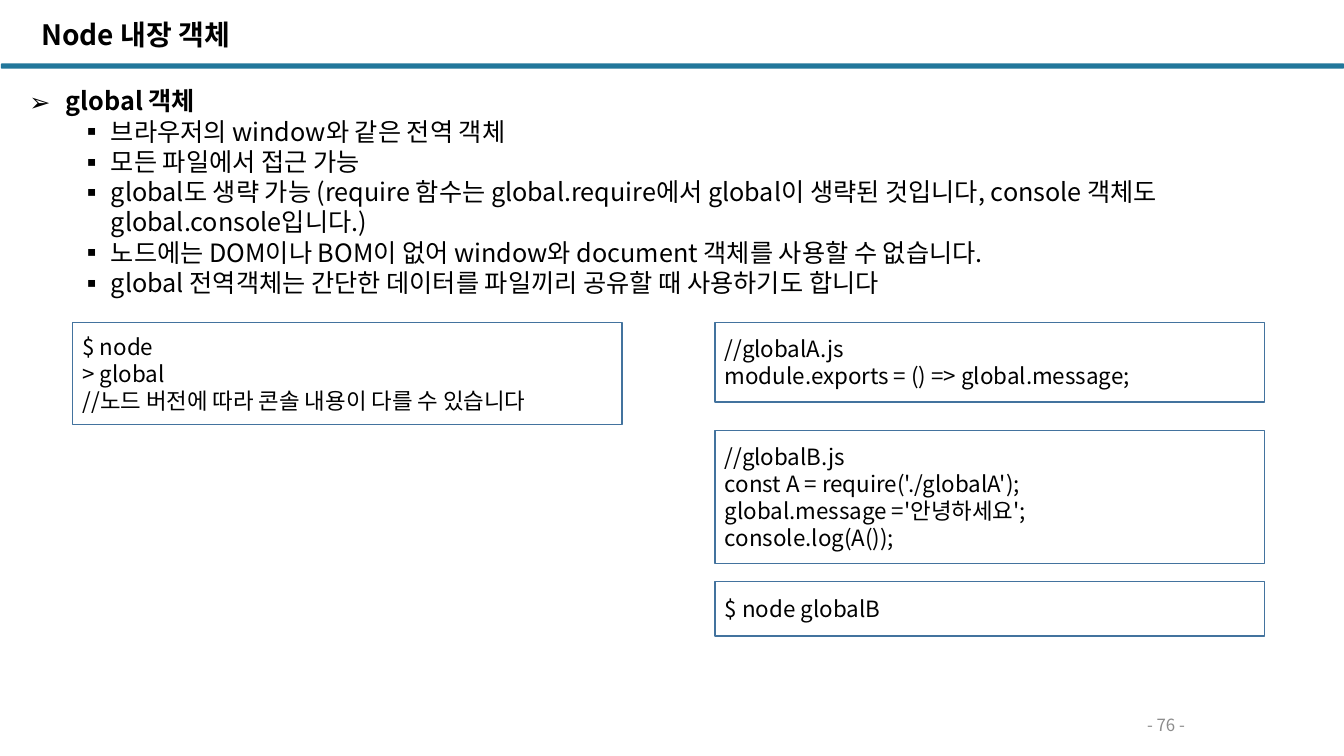
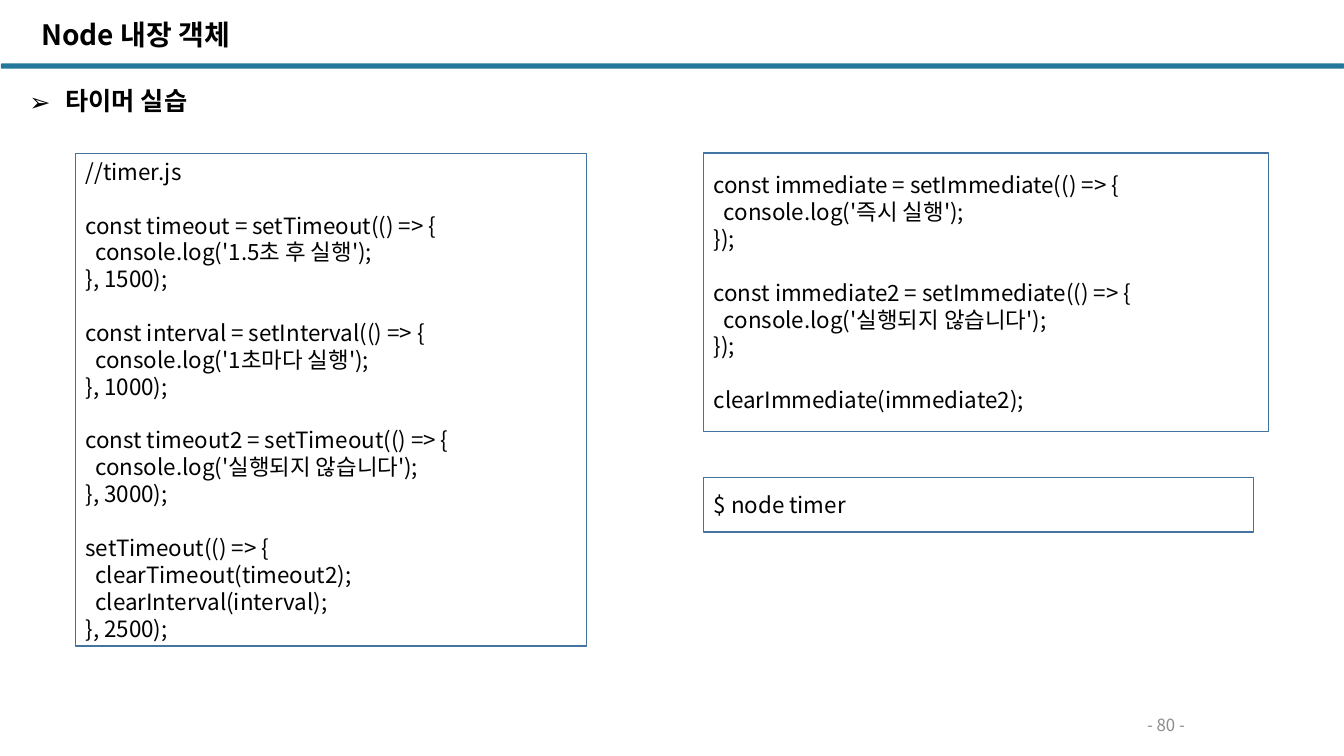
"""Build two slides on Node built-in objects."""
from dataclasses import dataclass

import pptx
import pptx.dml.color
import pptx.enum.shapes
import pptx.enum.text
import pptx.oxml.xmlchemy
import pptx.util

Inches = pptx.util.Inches
Pt = pptx.util.Pt
Align = pptx.enum.text.PP_ALIGN
Anchor = pptx.enum.text.MSO_ANCHOR
Shape = pptx.enum.shapes.MSO_SHAPE


@dataclass(frozen=True)
class Theme:
    font: str = "Noto Sans CJK KR"
    text: str = "000000"
    band: str = "22779B"
    border: str = "43739E"
    muted: str = "8C8C8C"
    title_size: int = 20
    body_size: int = 18
    code_size: int = 16
    footer_size: int = 12
    code_line: float = 19.2


THEME = Theme()


def rgb(value):
    return pptx.dml.color.RGBColor.from_string(value)


def element(tag, name, value):
    el = pptx.oxml.xmlchemy.OxmlElement(tag)
    el.set(name, value)
    return el


def write(p, text, size, color=THEME.text, bold=False, align=Align.LEFT,
          before=0, spacing=1.0):
    p.alignment = align
    p.space_before = Pt(before)
    p.line_spacing = spacing
    r = p.add_run()
    r.text = text
    r.font.size = Pt(size)
    r.font.bold = bold
    r.font.color.rgb = rgb(color)
    r.font.name = THEME.font
    r._r.get_or_add_rPr().append(element("a:ea", "typeface", THEME.font))


def set_bullet(p, char, left, hang):
    pPr = p._p.get_or_add_pPr()
    pPr.set("marL", str(Inches(left)))
    pPr.set("indent", str(-Inches(hang)))
    pPr.append(element("a:buFont", "typeface", THEME.font))
    pPr.append(element("a:buChar", "char", char))


def paragraphs(tf, items):
    for i, item in enumerate(items):
        yield (tf.add_paragraph() if i else tf.paragraphs[0]), item


class Deck:
    def __init__(self, theme):
        self.theme = theme
        self.prs = pptx.Presentation()
        self.prs.slide_width = Inches(13.33)
        self.prs.slide_height = Inches(7.5)
        self.slide = None

    def add_slide(self, title, page):
        self.slide = self.prs.slides.add_slide(self.prs.slide_layouts[1])
        self.band()
        self.title(title)
        self.footer(page)

    def frame(self, sp, left, top, width, height, anchor=Anchor.TOP):
        sp.left, sp.top = Inches(left), Inches(top)
        sp.width, sp.height = Inches(width), Inches(height)
        tf = sp.text_frame
        tf.word_wrap = True
        tf.auto_size = pptx.enum.text.MSO_AUTO_SIZE.NONE
        tf.vertical_anchor = anchor
        return tf

    def shape(self, kind, left, top, width, height):
        sp = self.slide.shapes.add_shape(
            kind, Inches(left), Inches(top), Inches(width), Inches(height))
        sp.shadow.inherit = False
        return sp

    def band(self):
        sp = self.shape(Shape.ROUNDED_RECTANGLE, 0.01, 0.63, 13.32, 0.05)
        sp.adjustments[0] = 0.13
        sp.fill.solid()
        sp.fill.fore_color.rgb = rgb(self.theme.band)
        sp.line.fill.background()

    def title(self, text):
        tf = self.frame(self.slide.shapes.title, 0.31, 0.16, 7.9, 0.47)
        write(tf.paragraphs[0], text, self.theme.title_size, bold=True,
              spacing=0.9)

    def footer(self, page):
        sp = self.slide.shapes.add_textbox(0, 0, 0, 0)
        tf = self.frame(sp, 10.01, 7.08, 3.11, 0.23, Anchor.MIDDLE)
        write(tf.paragraphs[0], f"- {page} -", self.theme.footer_size,
              color=self.theme.muted, align=Align.CENTER)

    def outline(self, heading, points=()):
        height = 0.4 + 0.36 * len(points)
        tf = self.frame(self.slide.placeholders[1], 0.19, 0.8, 12.64, height)
        for p, text in paragraphs(tf, [heading, *points]):
            is_heading = text == heading
            if is_heading:
                set_bullet(p, "➢", 0.36, 0.36)
            else:
                p.level = 1
                set_bullet(p, "▪", 0.81, 0.31)
            write(p, text, self.theme.body_size, bold=is_heading)

    def code(self, source, left, top, width, height):
        sp = self.shape(Shape.RECTANGLE, left, top, width, height)
        sp.fill.background()
        sp.line.color.rgb = rgb(self.theme.border)
        sp.line.width = Pt(1)
        tf = self.frame(sp, left, top, width, height, Anchor.MIDDLE)
        blocks = [block.splitlines() for block in source.split("\n\n")]
        lines = [(line, b > 0 and i == 0)
                 for b, block in enumerate(blocks)
                 for i, line in enumerate(block)]
        for p, (line, opens_block) in paragraphs(tf, lines):
            write(p, line, self.theme.code_size,
                  before=self.theme.code_line if opens_block else 0)


GLOBAL_POINTS = [
    "브라우저의 window와 같은 전역 객체",
    "모든 파일에서 접근 가능",
    "global도 생략 가능 (require 함수는 global.require에서 global이 "
    "생략된 것입니다, console 객체도 global.console입니다.)",
    "노드에는 DOM이나 BOM이 없어 window와 document 객체를 사용할 수 없습니다.",
    "global 전역객체는 간단한 데이터를 파일끼리 공유할 때 사용하기도 합니다",
]

NODE_GLOBAL = """$ node
> global
//노드 버전에 따라 콘솔 내용이 다를 수 있습니다"""

GLOBAL_A = """//globalA.js
module.exports = () => global.message;"""

GLOBAL_B = """//globalB.js
const A = require('./globalA');
global.message ='안녕하세요';
console.log(A());"""

TIMER = """//timer.js

const timeout = setTimeout(() => {
  console.log('1.5초 후 실행');
}, 1500);

const interval = setInterval(() => {
  console.log('1초마다 실행');
}, 1000);

const timeout2 = setTimeout(() => {
  console.log('실행되지 않습니다');
}, 3000);

setTimeout(() => {
  clearTimeout(timeout2);
  clearInterval(interval);
}, 2500);"""

IMMEDIATE = """const immediate = setImmediate(() => {
  console.log('즉시 실행');
});

const immediate2 = setImmediate(() => {
  console.log('실행되지 않습니다');
});

clearImmediate(immediate2);"""


def main():
    deck = Deck(THEME)
    title = "Node 내장 객체"

    deck.add_slide(title, 76)
    deck.outline("global 객체", GLOBAL_POINTS)
    deck.code(NODE_GLOBAL, 0.72, 3.2, 5.45, 1.01)
    deck.code(GLOBAL_A, 7.09, 3.2, 5.45, 0.79)
    deck.code(GLOBAL_B, 7.09, 4.27, 5.45, 1.32)
    deck.code("$ node globalB", 7.09, 5.77, 5.45, 0.54)

    deck.add_slide(title, 80)
    deck.outline("타이머 실습")
    deck.code(TIMER, 0.75, 1.52, 5.07, 4.89)
    deck.code(IMMEDIATE, 6.98, 1.52, 5.6, 2.76)
    deck.code("$ node timer", 6.98, 4.74, 5.45, 0.54)

    deck.prs.save("out.pptx")


if __name__ == "__main__":
    main()
